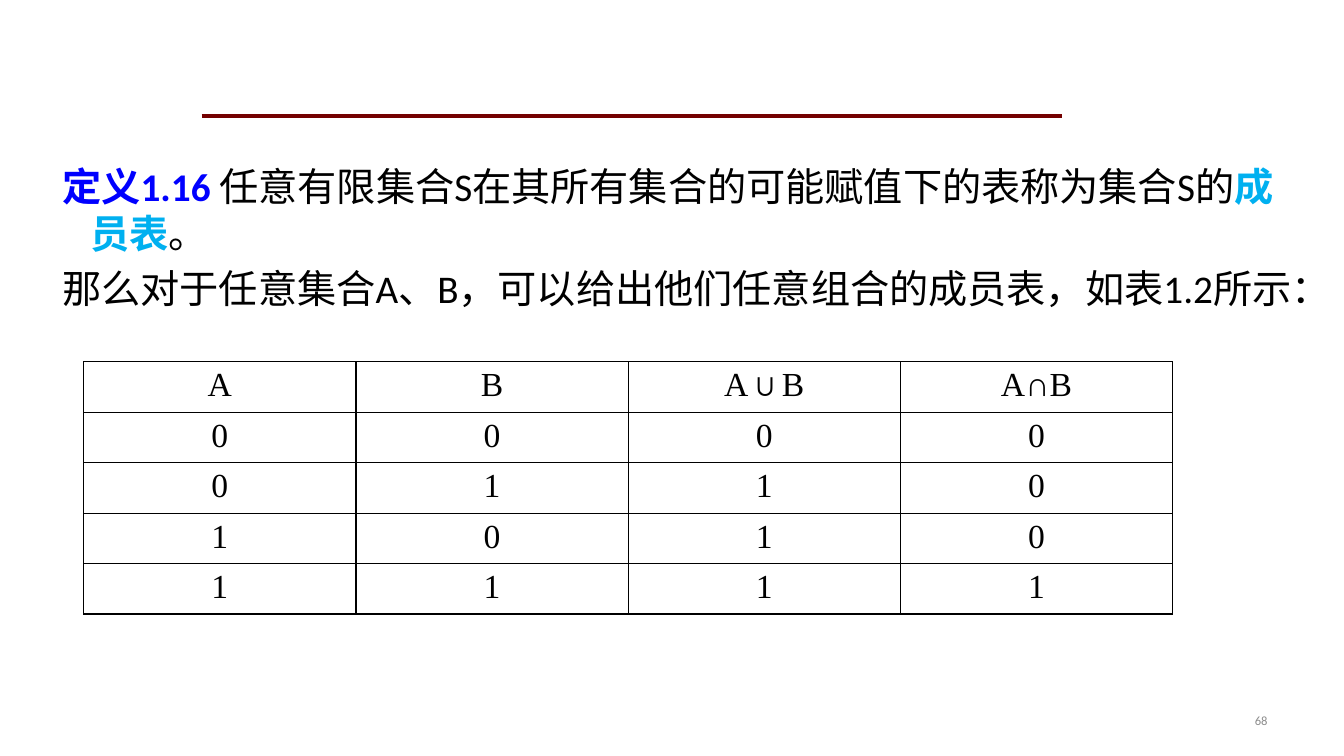
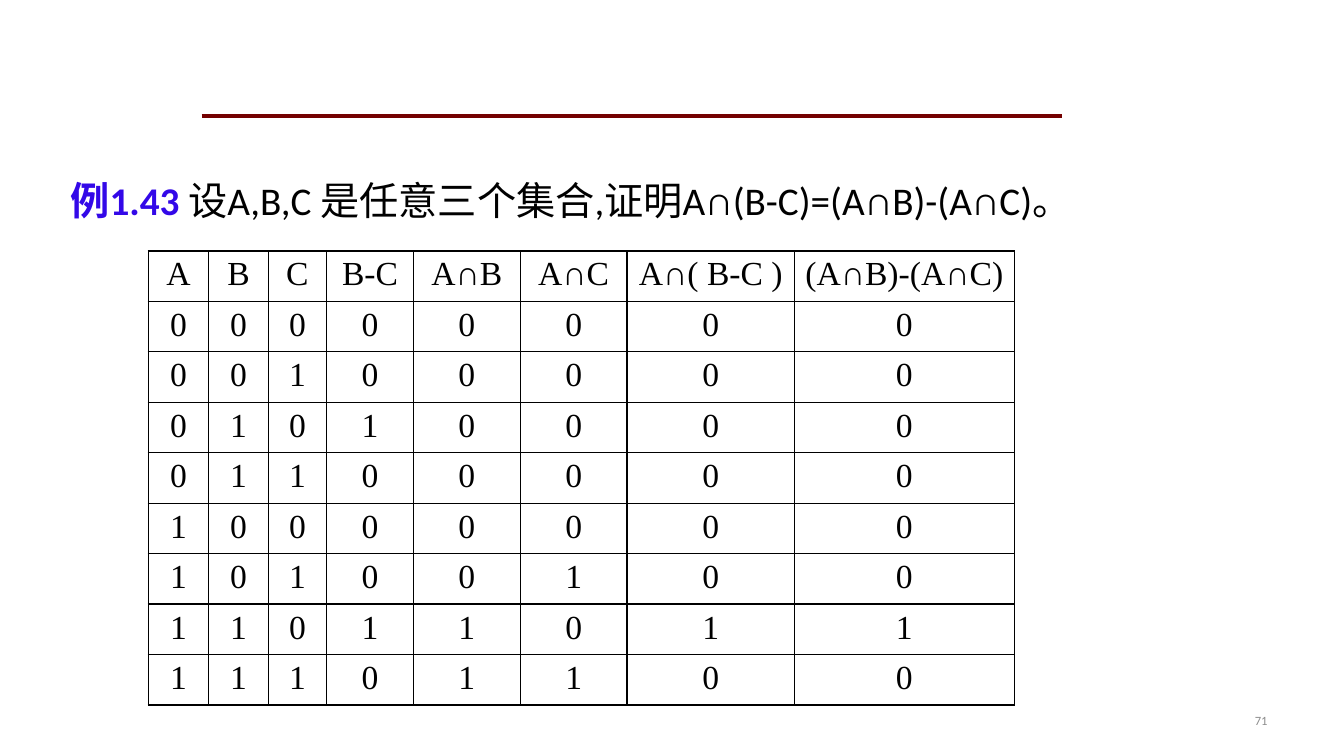
import itertools
from dataclasses import dataclass

import pptx
import pptx.dml.color
import pptx.enum.shapes
import pptx.enum.text
import pptx.oxml
import pptx.oxml.ns
import pptx.util
from lxml import etree

Inches, Pt = pptx.util.Inches, pptx.util.Pt
RGB = pptx.dml.color.RGBColor.from_string
PP_ALIGN = pptx.enum.text.PP_ALIGN
ANCHOR = pptx.enum.text.MSO_ANCHOR


@dataclass(frozen=True)
class Theme:
    rule: str = "740000"
    ink: str = "000000"
    definition: str = "0000FF"
    example: str = "3308E8"
    term: str = "00B0F0"
    number: str = "8C8C8C"
    body_font: str = "Calibri"
    table_font: str = "Times New Roman"
    body_size: int = 28
    table_size: int = 24
    number_size: int = 9
    rule_width: float = 2.5
    border_width: int = 1


T = Theme()


def set_font(font, name, size, color=None):
    font.name, font.size = name, Pt(size)
    if color:
        font.color.rgb = RGB(color)


def add_textbox(s, box):
    tf = s.shapes.add_textbox(*map(Inches, box)).text_frame
    tf.word_wrap = True
    return tf


# Shared parts: the rule and the page number
def add_frame(s, page):
    line = s.shapes.add_connector(
        pptx.enum.shapes.MSO_CONNECTOR.STRAIGHT,
        Inches(2), Inches(1.15), Inches(10.53), Inches(1.15))
    line.line.color.rgb = RGB(T.rule)
    line.line.width = Pt(T.rule_width)
    etree.SubElement(line._element.spPr, pptx.oxml.ns.qn("a:effectLst"))

    tf = add_textbox(s, (9.56, 6.95, 3.11, 0.4))
    tf.vertical_anchor = ANCHOR.MIDDLE
    p = tf.paragraphs[0]
    p.text = str(page)
    p.alignment = PP_ALIGN.RIGHT
    set_font(p.font, T.number_size and T.body_font, T.number_size, T.number)


# Statement: paragraphs of (text, colour, bold) runs
def add_statement(s, box, paragraphs, hanging=0):
    tf = add_textbox(s, box)
    for i, runs in enumerate(paragraphs):
        p = tf.add_paragraph() if i else tf.paragraphs[0]
        if hanging:
            pPr = p._p.get_or_add_pPr()
            pPr.set("marL", str(Inches(hanging)))
            pPr.set("indent", str(-Inches(hanging)))
        if i:
            p.space_before = Pt(0.2 * T.body_size)
        set_font(p.font, T.body_font, T.body_size)
        for text, color, bold in runs:
            r = p.add_run()
            r.text = text
            r.font.bold = bold
            r.font.color.rgb = RGB(color)


def add_borders(cell):
    tcPr = cell._tc.get_or_add_tcPr()
    for side in ("lnL", "lnR", "lnT", "lnB"):
        tcPr.append(pptx.oxml.parse_xml(
            f'<a:{side} {pptx.oxml.ns.nsdecls("a")} w="{Pt(T.border_width)}">'
            f'<a:solidFill><a:srgbClr val="{T.ink}"/></a:solidFill></a:{side}>'))


# Membership table: a column is (heading, width, rule giving its value)
def add_membership_table(s, left, top, columns, set_count, row_heights):
    values = itertools.product((0, 1), repeat=set_count)
    rows = [[heading for heading, _, _ in columns]]
    rows += [[rule(*v) for _, _, rule in columns] for v in values]
    widths = [width for _, width, _ in columns]
    table = s.shapes.add_table(
        len(rows), len(columns), Inches(left), Inches(top),
        Inches(sum(widths)), Inches(sum(row_heights))).table
    table.first_row = table.horz_banding = False
    for column, width in zip(table.columns, widths):
        column.width = Inches(width)
    for row, height, texts in zip(table.rows, row_heights, rows):
        row.height = Inches(height)
        for cell, text in zip(row.cells, texts):
            cell.margin_left = cell.margin_right = Inches(0.05)
            add_borders(cell)
            cell.fill.background()
            p = cell.text_frame.paragraphs[0]
            p.text = str(text)
            p.alignment = PP_ALIGN.CENTER
            set_font(p.font, T.table_font, T.table_size, T.ink)


def definition_slide(s):
    add_frame(s, 68)
    add_statement(s, (0.52, 1.56, 12.53, 1.72), [
        [("定义1.16 ", T.definition, True),
         ("任意有限集合S在其所有集合的可能赋值下的表称为集合S的", T.ink, False),
         ("成员表", T.term, True),
         ("。", T.ink, False)],
        [("那么对于任意集合A、B，可以给出他们任意组合的成员表，如表1.2所示：",
          T.ink, False)],
    ], hanging=0.28)
    add_membership_table(s, 0.83, 3.59, [
        ("A", 2.7, lambda a, b: a),
        ("B", 2.7, lambda a, b: b),
        ("A∪B", 2.7, lambda a, b: a | b),
        ("A∩B", 2.7, lambda a, b: a & b),
    ], 2, [0.47] * 5)


def example_slide(s):
    add_frame(s, 71)
    add_statement(s, (0.6, 1.7, 11.1, 0.94), [
        [("例1.43 ", T.example, True),
         ("设A,B,C 是任意三个集合,证明A∩(B-C)=(A∩B)-(A∩C)。", T.ink, False)],
    ])
    add_membership_table(s, 1.47, 2.49, [
        ("A", 0.6, lambda a, b, c: a),
        ("B", 0.59, lambda a, b, c: b),
        ("C", 0.58, lambda a, b, c: c),
        ("B-C", 0.86, lambda a, b, c: b & (1 - c)),
        ("A∩B", 1.06, lambda a, b, c: a & b),
        ("A∩C", 1.06, lambda a, b, c: a & c),
        ("A∩( B-C )", 1.66, lambda a, b, c: a & b & (1 - c)),
        ("(A∩B)-(A∩C)", 2.18, lambda a, b, c: (a & b) & (1 - (a & c))),
    ], 3, [0.47, 0.49] + [0.47] * 7)


def main():
    prs = pptx.Presentation()
    prs.slide_width, prs.slide_height = Inches(13.33), Inches(7.5)
    for build in (definition_slide, example_slide):
        build(prs.slides.add_slide(prs.slide_layouts[6]))
    prs.save("out.pptx")


if __name__ == "__main__":
    main()
